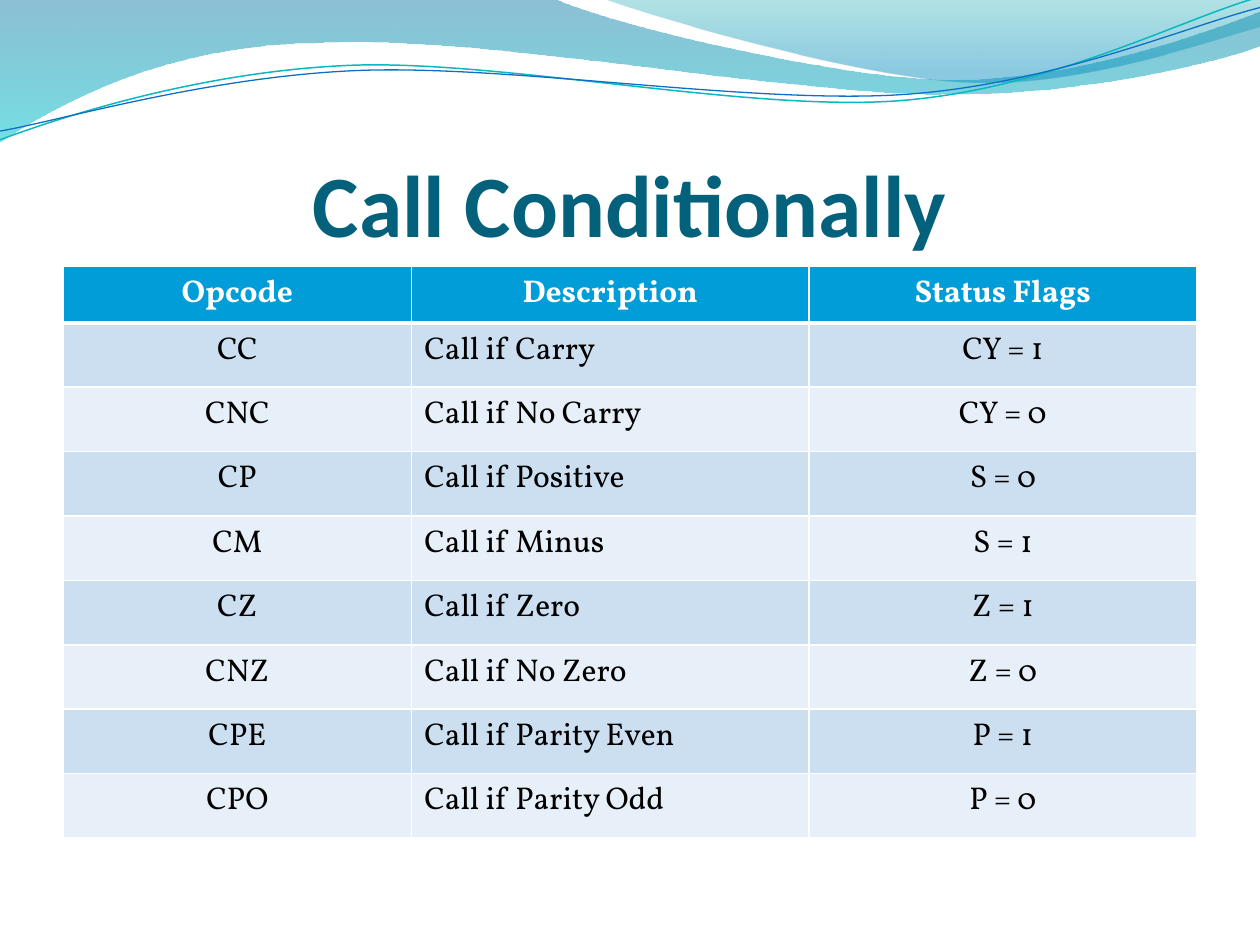
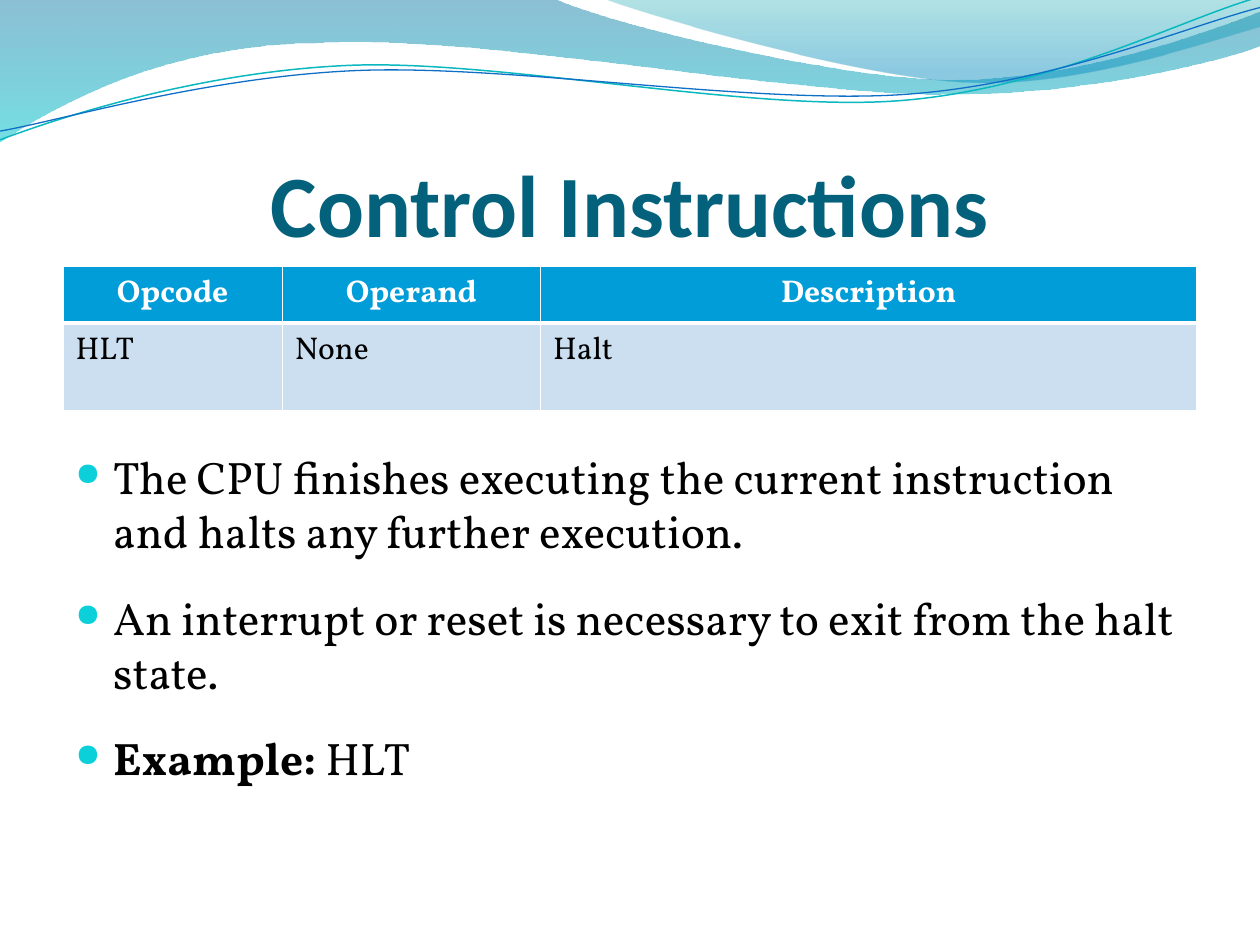
from pptx import Presentation
from pptx.dml.color import RGBColor
from pptx.enum.text import MSO_ANCHOR as ANCHOR, PP_ALIGN as ALIGN
from pptx.oxml import parse_xml
from pptx.oxml.ns import nsdecls
from pptx.util import Pt

COLORS = {
    "title": "04617B", "header": "009DD9", "odd": "CCDFF1", "even": "E7EFF8",
    "white": "FFFFFF", "text": "000000", "bullet": "0BD0D9",
    "teal_line": "0AB8BF", "blue_line": "0F6FC6",
    "band_top": "0074A1", "band_bottom": "00C6CF",
    "crest_top": "00A1A9", "crest_bottom": "008BBF",
}
TITLE_FONT, BODY_FONT = "Calibri", "Vollkorn"
MARGIN, CONTENT_W, TABLE_TOP = 36, 648, 152.3
HEADER_H = 32.2
UNITS_PER_PT = 100

BAND = [
    (0, -0.7), (316.8, -0.7),
    (342.7, 12.2, 478.1, 45.4, 545.8, 45.4),
    (614.2, 45.4, 689.8, 18.7, 720, 6.5),
    (720.7, 25.9),
    (707.8, 31.7, 626.4, 54.7, 537.1, 54),
    (447.8, 54, 275, 20.2, 185, 24.5),
    (92.9, 25.2, 33.1, 59.8, -0.7, 81.4),
    (0, -0.7),
]
CREST = [
    (344.9, -0.7),
    (366.5, 7.9, 491, 44.6, 553.7, 46.8),
    (616.3, 49.7, 691.9, 23, 720, 15.1),
    (720, 0), (344.9, -0.7),
]
TEAL_WAVE = [
    (0, 79.9),
    (34.6, 67, 113.8, 41, 199.4, 37.4),
    (284.4, 33.8, 427, 64.1, 513.4, 57.6),
    (599.8, 51.1, 675.4, 10.8, 718.6, -1.4),
]
BLUE_WAVE = [
    (0, 74.9),
    (33.8, 69.1, 118.1, 43.9, 203.8, 40.3),
    (290.2, 36.7, 429.8, 59.8, 516.2, 54),
    (601.9, 48.2, 677.5, 15.1, 720, 4.3),
]

CALLS = [
    ("Opcode", "Description", "Status Flags"),
    ("CC", "Call if Carry", "CY = 1"),
    ("CNC", "Call if No Carry", "CY = 0"),
    ("CP", "Call if Positive", "S = 0"),
    ("CM", "Call if Minus", "S = 1"),
    ("CZ", "Call if Zero", "Z = 1"),
    ("CNZ", "Call if No Zero", "Z = 0"),
    ("CPE", "Call if Parity Even", "P = 1"),
    ("CPO", "Call if Parity Odd", "P = 0"),
]
CONTROLS = [("Opcode", "Operand", "Description"), ("HLT", "None", "Halt")]
HALT_NOTES = [
    [("The CPU finishes executing the current instruction and halts any "
      "further execution.", False)],
    [("An interrupt or reset is necessary to exit from the halt state.", False)],
    [("Example:", True), (" HLT", False)],
]


def rgb(name):
    return RGBColor.from_string(COLORS[name])


def style_run(r, size, color, font=BODY_FONT, bold=False):
    r.font.size = Pt(size)
    r.font.name = font
    r.font.bold = bold
    r.font.color.rgb = rgb(color)


def split_points(segment):
    return [(x * UNITS_PER_PT, y * UNITS_PER_PT)
            for x, y in zip(segment[::2], segment[1::2])]


def bend_segments(sp, segments):
    steps = iter(sp._element.findall(".//{*}lnTo"))
    for segment in segments:
        lines = [next(steps) for _ in segment[::2]]
        if len(lines) == 3:
            curve = parse_xml(f'<a:cubicBezTo {nsdecls("a")}/>')
            lines[0].addprevious(curve)
            for line in lines:
                curve.append(line[0])
                line.getparent().remove(line)


def add_outline(s, segments, close):
    start, *rest = segments
    builder = s.shapes.build_freeform(
        *split_points(start)[0], scale=Pt(1) / UNITS_PER_PT)
    builder.add_line_segments(
        [point for segment in rest for point in split_points(segment)], close=close)
    sp = builder.convert_to_shape()
    bend_segments(sp, rest)
    sp.shadow.inherit = False
    return sp


def add_gradient_wave(s, segments, stops):
    sp = add_outline(s, segments, True)
    sp.line.fill.background()
    gs = "".join(
        f'<a:gs pos="{pos * 1000}"><a:srgbClr val="{COLORS[color]}">'
        f'<a:alpha val="{alpha * 1000}"/></a:srgbClr></a:gs>'
        for pos, color, alpha in stops)
    sp._element.spPr.find("{*}custGeom").addnext(parse_xml(
        f'<a:gradFill {nsdecls("a")} rotWithShape="1"><a:gsLst>{gs}</a:gsLst>'
        '<a:lin ang="5400000" scaled="0"/></a:gradFill>'))


def add_wave_line(s, segments, color, width):
    sp = add_outline(s, segments, False)
    sp.fill.background()
    sp.line.color.rgb = rgb(color)
    sp.line.width = Pt(width)


def add_text_box(s, top, height):
    box = s.shapes.add_textbox(Pt(MARGIN), Pt(top), Pt(CONTENT_W), Pt(height))
    box.text_frame.word_wrap = True
    return box.text_frame


def add_title(s, text):
    tf = add_text_box(s, 55.44, 90)
    tf.margin_left = tf.margin_right = tf.margin_bottom = 0
    tf.vertical_anchor = ANCHOR.BOTTOM
    tf.text = text
    p = tf.paragraphs[0]
    p.alignment = ALIGN.CENTER
    style_run(p.runs[0], 50, "title", TITLE_FONT, True)


def add_titled_slide(prs, title):
    s = prs.slides.add_slide(prs.slide_layouts[6])
    add_gradient_wave(s, BAND, [(0, "band_top", 45), (100, "band_bottom", 55)])
    add_gradient_wave(s, CREST, [(0, "crest_top", 30), (80, "crest_bottom", 45)])
    add_wave_line(s, TEAL_WAVE, "teal_line", 0.85)
    add_wave_line(s, BLUE_WAVE, "blue_line", 0.75)
    add_title(s, title)
    return s


def set_borders(cell, **widths):
    tcPr = cell._tc.get_or_add_tcPr()
    for side in "LRTB":
        tcPr.append(parse_xml(
            f'<a:ln{side} {nsdecls("a")} w="{Pt(widths.get(side, 1))}">'
            f'<a:solidFill><a:srgbClr val="{COLORS["white"]}"/></a:solidFill>'
            f'</a:ln{side}>'))


def style_cell(cell, text, row, align):
    header = row == 0
    set_borders(cell, T=3 if row == 1 else 1, B=3 if header else 1)
    cell.fill.solid()
    cell.fill.fore_color.rgb = rgb(
        "header" if header else "odd" if row % 2 else "even")
    cell.text_frame.text = text
    p = cell.text_frame.paragraphs[0]
    p.alignment = ALIGN.CENTER if header else align
    style_run(p.runs[0], 18, "white" if header else "text", bold=header)


def add_opcode_table(s, rows, widths, aligns, row_h):
    heights = [HEADER_H] + [row_h] * (len(rows) - 1)
    table = s.shapes.add_table(
        len(rows), len(widths), Pt(MARGIN), Pt(TABLE_TOP),
        Pt(sum(widths)), Pt(sum(heights))).table
    for col, width in zip(table.columns, widths):
        col.width = Pt(width)
    for i, (texts, height) in enumerate(zip(rows, heights)):
        table.rows[i].height = Pt(height)
        for j, (text, align) in enumerate(zip(texts, aligns)):
            style_cell(table.cell(i, j), text, i, align)


def add_bullet(p):
    pPr = p._p.get_or_add_pPr()
    pPr.set("marL", str(Pt(21.6)))
    pPr.set("indent", str(Pt(-21.6)))
    for xml in (f'<a:buClr {nsdecls("a")}><a:srgbClr val="{COLORS["bullet"]}"/></a:buClr>',
                f'<a:buSzPct {nsdecls("a")} val="70000"/>',
                f'<a:buChar {nsdecls("a")} char="●"/>'):
        pPr.append(parse_xml(xml))


def add_bullets(s, items, top, height):
    tf = add_text_box(s, top, height)
    for i, runs in enumerate(items):
        p = tf.add_paragraph() if i else tf.paragraphs[0]
        p.space_after = Pt(18)
        add_bullet(p)
        for text, bold in runs:
            r = p.add_run()
            r.text = text
            style_run(r, 26, "text", bold=bold)


def main():
    prs = Presentation()
    prs.slide_width, prs.slide_height = Pt(720), Pt(540)

    s = add_titled_slide(prs, "Call Conditionally")
    add_opcode_table(s, CALLS, (199.3, 226.9, 221.8),
                     (ALIGN.CENTER, ALIGN.LEFT, ALIGN.CENTER), 36.8)

    s = add_titled_slide(prs, "Control Instructions")
    add_opcode_table(s, CONTROLS, (125.3, 147.6, 375.1), (ALIGN.LEFT,) * 3, 50.4)
    add_bullets(s, HALT_NOTES, 253, 244.8)

    prs.save("out.pptx")


if __name__ == "__main__":
    main()
